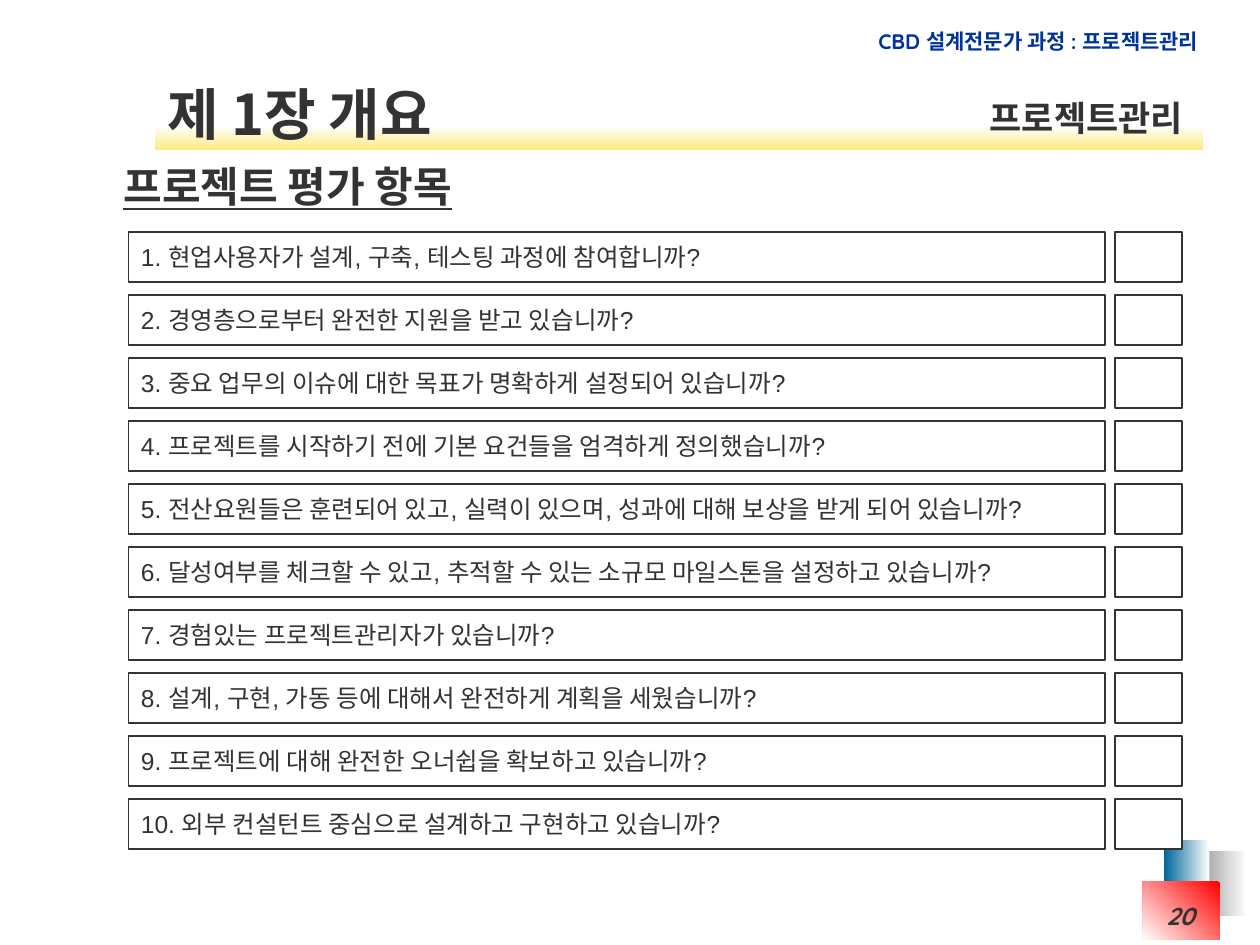
from dataclasses import dataclass
from typing import Any

from lxml import etree
from pptx import Presentation
from pptx import util as u
from pptx.dml.color import RGBColor
from pptx.enum import shapes, text
from pptx.oxml import ns

QUESTIONS = [
    "현업사용자가 설계, 구축, 테스팅 과정에 참여합니까?",
    "경영층으로부터 완전한 지원을 받고 있습니까?",
    "중요 업무의 이슈에 대한 목표가 명확하게 설정되어 있습니까?",
    "프로젝트를 시작하기 전에 기본 요건들을 엄격하게 정의했습니까?",
    "전산요원들은 훈련되어 있고, 실력이 있으며, 성과에 대해 보상을 받게 되어 있습니까?",
    "달성여부를 체크할 수 있고, 추적할 수 있는 소규모 마일스톤을 설정하고 있습니까?",
    "경험있는 프로젝트관리자가 있습니까?",
    "설계, 구현, 가동 등에 대해서 완전하게 계획을 세웠습니까?",
    "프로젝트에 대해 완전한 오너쉽을 확보하고 있습니까?",
    "외부 컨설턴트 중심으로 설계하고 구현하고 있습니까?",
]
LEFT, RIGHT = text.PP_ALIGN.LEFT, text.PP_ALIGN.RIGHT
TOP, MIDDLE = text.MSO_ANCHOR.TOP, text.MSO_ANCHOR.MIDDLE


def color(value):
    return RGBColor.from_string(value)


@dataclass
class Sheet:
    """Holds the style and the current slide, and draws each kind of element."""

    page: Any
    ink: str = "333333"
    paper: str = "FFFFFF"
    korean: str = "Noto Sans CJK KR"
    latin: str = "Arial"
    accent: str = "Quicksand"

    def set_words(self, shape, words, size, face, align=LEFT, anchor=TOP, wrap=True,
                  ink=None, bold=None, italic=None, underline=None):
        frame = shape.text_frame
        frame.text = words
        frame.auto_size = text.MSO_AUTO_SIZE.NONE
        frame.word_wrap = wrap
        frame.vertical_anchor = anchor
        para = frame.paragraphs[0]
        para.alignment = align
        font = para.runs[0].font
        font.size = u.Pt(size)
        font.name = face
        font.color.rgb = color(ink or self.ink)
        font.bold, font.italic, font.underline = bold, italic, underline
        asian = etree.SubElement(font._element, ns.qn("a:ea"))
        asian.set("typeface", self.korean)

    def rectangle(self, *place):
        shape = self.page.shapes.add_shape(
            shapes.MSO_SHAPE.RECTANGLE, *map(u.Inches, place))
        shape.shadow.inherit = False
        return shape

    def gradient(self, place, start, end, angle):
        shape = self.rectangle(*place)
        shape.line.fill.background()
        shape.fill.gradient()
        shape.fill.gradient_angle = angle
        for stop, value in zip(shape.fill.gradient_stops, (start, end)):
            stop.color.rgb = color(value)

    def frame(self, *place):
        shape = self.rectangle(*place)
        shape.fill.solid()
        shape.fill.fore_color.rgb = color(self.paper)
        shape.line.color.rgb = color(self.ink)
        shape.line.width = u.Pt(1)
        return shape

    def label(self, place, words, size, face, **styles):
        box = self.page.shapes.add_textbox(*map(u.Inches, place))
        self.set_words(box, words, size, face, **styles)

    def title(self, place, words, size):
        box = self.page.shapes.title
        box.left, box.top, box.width, box.height = map(u.Inches, place)
        self.set_words(box, words, size, self.korean, anchor=MIDDLE,
                       bold=True, underline=True)

    def question(self, top, words):
        box = self.frame(1.02, top, 7.75, 0.4)
        self.set_words(box, words, 14, self.latin, anchor=MIDDLE, wrap=False)
        self.frame(8.85, top, 0.53, 0.4)


def main():
    deck = Presentation()
    deck.slide_width, deck.slide_height = u.Inches(10), u.Inches(7.5)
    sheet = Sheet(deck.slides.add_slide(deck.slide_layouts[5]))

    sheet.gradient((9.5, 6.75, 0.4, 0.52), "FFFFFF", "969696", 180)
    sheet.gradient((9.24, 6.67, 0.36, 0.52), "FFFFFF", "006699", 180)
    sheet.gradient((9.07, 7, 0.61, 0.46), "FF0000", "FFFFFF", 225)
    sheet.gradient((1.23, 1, 8.32, 0.19), "FEFEFE", "FBEC7F", 270)

    sheet.label((6.75, 0.18, 2.86, 0.3), "CBD 설계전문가 과정 : 프로젝트관리", 12,
                sheet.accent, align=RIGHT, wrap=False, ink="003399", bold=True)
    sheet.title((0.88, 1.17, 8.32, 0.61), "프로젝트 평가 항목", 24)
    for index, words in enumerate(QUESTIONS):
        sheet.question(1.84 + 0.5 * index, f"{index + 1}. {words}")

    sheet.label((1.23, 0.59, 2.86, 0.61), "제 1장 개요", 32, sheet.korean,
                anchor=MIDDLE, bold=True)
    sheet.label((7.76, 0.72, 1.73, 0.44), "프로젝트관리", 20, sheet.korean,
                align=RIGHT, wrap=False, bold=True)
    sheet.label((8.35, 7.1, 1.23, 0.4), "20", 14, sheet.accent,
                align=RIGHT, bold=True, italic=True)
    deck.save("out.pptx")


if __name__ == "__main__":
    main()
